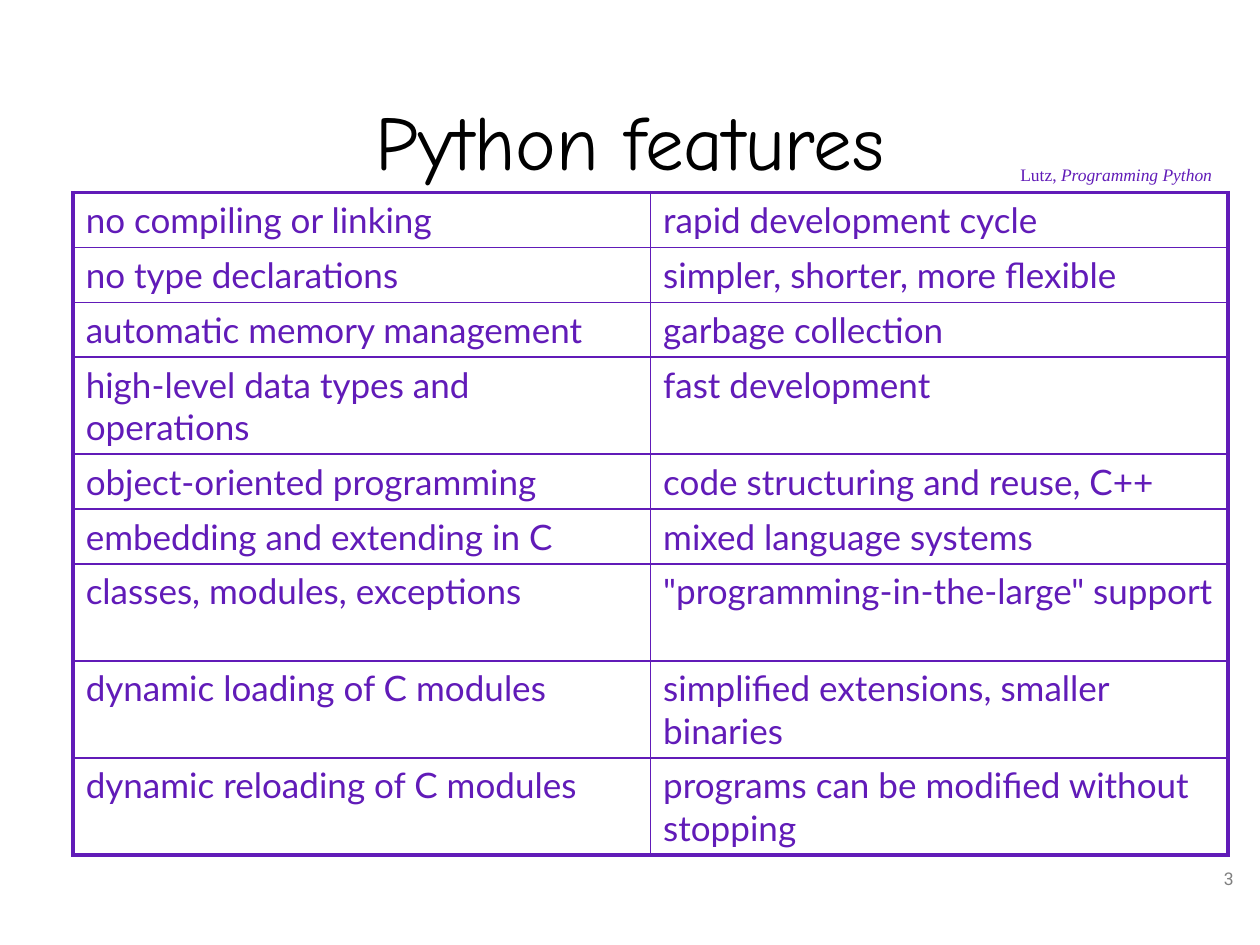
"""Builds a slide with a two-column table of Python features."""
from lxml import etree
from pptx import Presentation
from pptx.dml.color import RGBColor
from pptx.enum import text
from pptx.oxml import ns
from pptx.util import Pt

PURPLE = "611BB8"
FEATURES = [
    ("no compiling or linking", "rapid development cycle", 31.3),
    ("no type declarations", "simpler, shorter, more flexible", 31.3),
    ("automatic memory management", "garbage collection", 31.3),
    ("high-level data types and operations", "fast development", 55.4),
    ("object-oriented programming", "code structuring and reuse, C++", 31.3),
    ("embedding and extending in C", "mixed language systems", 31.3),
    ("classes, modules, exceptions", '"programming-in-the-large" support', 55.4),
    ("dynamic loading of C modules", "simplified extensions, smaller binaries", 55.4),
    ("dynamic reloading of C modules", "programs can be modified without stopping", 55.4),
]


def style(p, name, size, color, align=text.PP_ALIGN.LEFT):
    p.alignment = align
    p.font.name, p.font.size = name, Pt(size)
    p.font.color.rgb = RGBColor.from_string(color)


def set_borders(cell, widths):
    tcPr = cell._tc.get_or_add_tcPr()
    for i, (side, width) in enumerate(zip("LRTB", widths)):
        ln = etree.Element(ns.qn(f"a:ln{side}"), w=str(Pt(width)))
        fill = etree.SubElement(ln, ns.qn("a:solidFill"))
        etree.SubElement(fill, ns.qn("a:srgbClr"), val=PURPLE)
        tcPr.insert(i, ln)


prs = Presentation()
prs.slide_width, prs.slide_height = Pt(720), Pt(540)
s = prs.slides.add_slide(prs.slide_layouts[5])

title = s.shapes.title
title.left, title.top, title.width, title.height = Pt(24.5), Pt(46.8), Pt(671), Pt(65.5)
tf = title.text_frame
tf.text = "Python features"
tf.vertical_anchor = text.MSO_ANCHOR.MIDDLE
style(tf.paragraphs[0], "Comic Neue", 44, "000000", text.PP_ALIGN.CENTER)

frame = s.shapes.add_table(len(FEATURES), 2, Pt(41.8), Pt(110), Pt(660), Pt(378))
table = frame.table
table.first_row = table.horz_banding = False
for col in table.columns:
    col.width = Pt(330)
last = len(FEATURES) - 1
for i, (*words, height) in enumerate(FEATURES):
    table.rows[i].height = Pt(height)
    for j, word in enumerate(words):
        cell = table.cell(i, j)
        cell.text = word
        style(cell.text_frame.paragraphs[0], "Lato", 20, PURPLE)
        cell.fill.background()
        outer = (j == 0, j == 1, i == 0, i == last)
        set_borders(cell, [2.25 if edge else 1 for edge in outer])

tf = s.shapes.add_textbox(Pt(576), Pt(90), Pt(124.5), Pt(19.4)).text_frame
tf.word_wrap = True
p = tf.paragraphs[0]
style(p, "Times New Roman", 10, PURPLE)
p.add_run().text = "Lutz, "
r = p.add_run()
r.text = "Programming Python"
r.font.italic = True

tf = s.shapes.add_textbox(Pt(669), Pt(492.5), Pt(43), Pt(41)).text_frame
tf.word_wrap = True
tf.text = "3"
style(tf.paragraphs[0], "Roboto", 10, "7F7F7F", text.PP_ALIGN.RIGHT)

prs.save("out.pptx")
